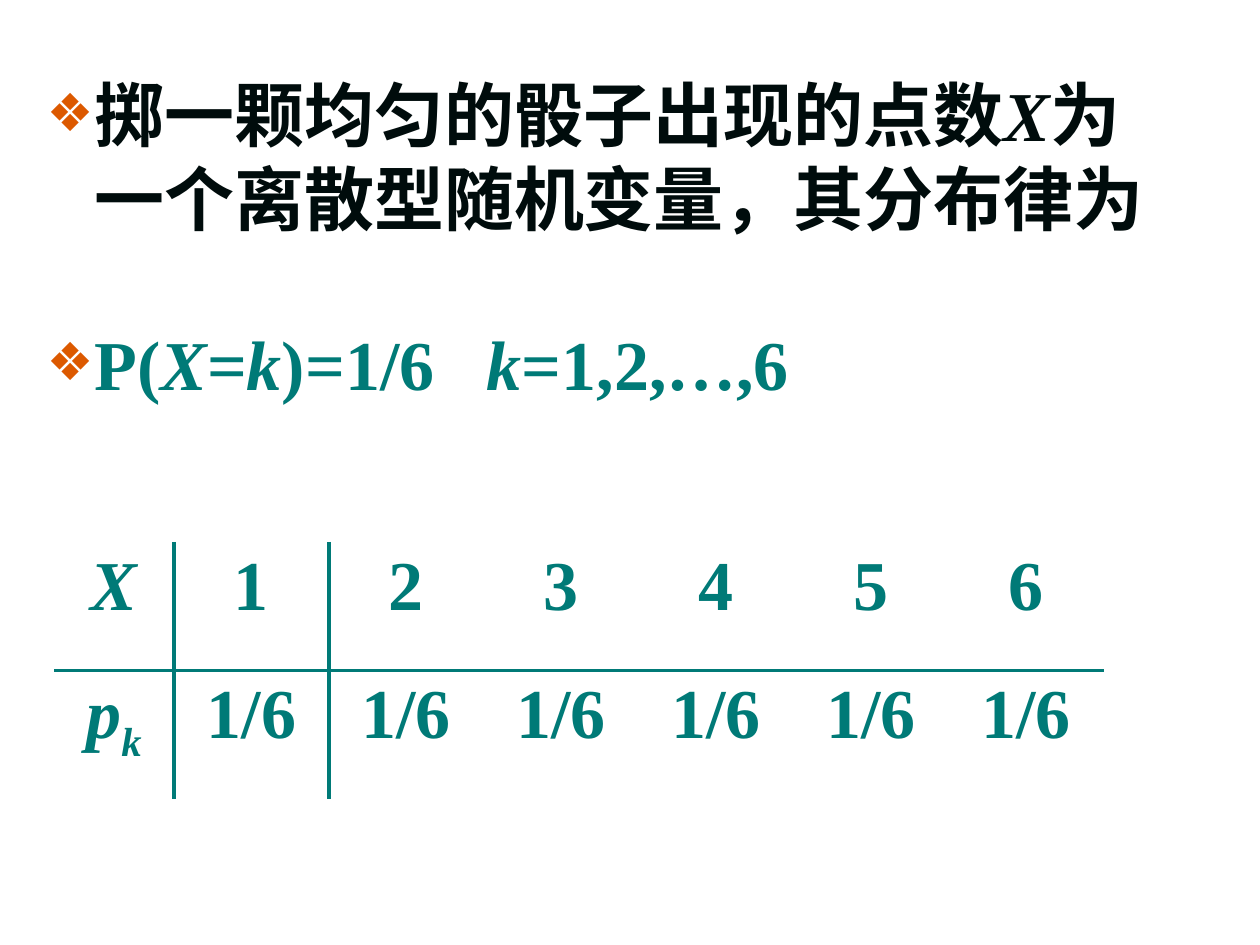
from lxml.etree import SubElement
from pptx import Presentation
from pptx.dml.color import RGBColor
from pptx.enum.text import MSO_ANCHOR, MSO_AUTO_SIZE, PP_ALIGN
from pptx.oxml.ns import qn
from pptx.util import Inches, Pt

INK = RGBColor(0x00, 0x0C, 0x0C)
TEAL = RGBColor(0x00, 0x7A, 0x77)
ORANGE = RGBColor(0xDC, 0x59, 0x00)

FONT = "Times New Roman"
TEXT_SIZE = Pt(40)
HANGING = Inches(0.38)
RULE_WIDTH = Pt(2.25)
PLAIN_TABLE_STYLE = "{2D5ABB26-0587-4C30-8999-92F81FD0307C}"

OUTCOMES = range(1, 7)
LABEL_WIDTH, OUTCOME_WIDTH, ROW_HEIGHT = 0.95, 1.23, 1.02


def add_run(paragraph, text, color, italic=False):
    run = paragraph.add_run()
    run.text = text
    font = run.font
    font.name, font.size, font.bold, font.italic = FONT, TEXT_SIZE, True, italic
    font.color.rgb = color
    return run


def add_formula(paragraph, parts, color):
    """Write parts in turn, with single-letter variables in italics."""
    for part in parts:
        add_run(paragraph, part, color, italic=part in ("X", "k", "p"))


def add_solid_color(parent, color):
    fill = SubElement(parent, qn("a:solidFill"))
    SubElement(fill, qn("a:srgbClr"), val=str(color))


def format_bullet(paragraph, space_before):
    paragraph.line_spacing = Pt(48)
    paragraph.space_before = space_before
    properties = paragraph._p.get_or_add_pPr()
    properties.set("marL", str(HANGING))
    properties.set("indent", str(-HANGING))
    bullet_color = SubElement(properties, qn("a:buClr"))
    SubElement(bullet_color, qn("a:srgbClr"), val=str(ORANGE))
    SubElement(properties, qn("a:buSzPct"), val="75000")
    SubElement(properties, qn("a:buChar"), char="❖")


def fill_statement(body):
    body.left, body.top = Inches(0.27), Inches(0.52)
    body.width, body.height = Inches(9.06), Inches(4.59)
    frame = body.text_frame
    frame.word_wrap = True
    frame.auto_size = MSO_AUTO_SIZE.NONE
    frame.vertical_anchor = MSO_ANCHOR.TOP

    definition = frame.paragraphs[0]
    format_bullet(definition, Pt(0))
    add_formula(definition, ["掷一颗均匀的骰子出现的点数", "X",
                             "为一个离散型随机变量，其分布律为"], INK)

    law = frame.add_paragraph()
    format_bullet(law, Pt(46))
    add_formula(law, ["P(", "X", "=", "k", ")=1/6"], TEAL)
    gap = add_run(law, " ", TEAL)
    gap.font._element.set("spc", "2000")
    add_formula(law, ["k", "=1,2,…,6"], TEAL)


def add_border(cell, side):
    line = SubElement(cell._tc.get_or_add_tcPr(), qn(f"a:ln{side}"),
                      w=str(RULE_WIDTH))
    add_solid_color(line, TEAL)


def add_distribution_table(slide):
    rows = [[["X"]] + [[str(k)] for k in OUTCOMES],
            [["p", "k"]] + [["1/6"] for _ in OUTCOMES]]
    widths = [LABEL_WIDTH] + [OUTCOME_WIDTH] * len(OUTCOMES)
    table = slide.shapes.add_table(
        len(rows), len(widths), Inches(0.43), Inches(4.3),
        Inches(sum(widths)), Inches(ROW_HEIGHT * len(rows))).table
    table.first_row = table.horz_banding = False
    table._tbl.tblPr.find(qn("a:tableStyleId")).text = PLAIN_TABLE_STYLE

    for column, width in zip(table.columns, widths):
        column.width = Inches(width)
    for r, row in enumerate(rows):
        table.rows[r].height = Inches(ROW_HEIGHT)
        for c, parts in enumerate(row):
            cell = table.cell(r, c)
            # Border order within a cell is left, right, top, bottom.
            if c < 2:
                add_border(cell, "R" if c == 0 else "L")
            add_border(cell, "B" if r == 0 else "T")
            cell.fill.background()
            paragraph = cell.text_frame.paragraphs[0]
            paragraph.alignment = PP_ALIGN.CENTER
            add_formula(paragraph, parts, TEAL)

    subscript = table.cell(1, 0).text_frame.paragraphs[0].runs[1]
    subscript.font._element.set("baseline", "-25000")


def main():
    deck = Presentation()
    deck.slide_width, deck.slide_height = Inches(10), Inches(7.5)
    slide = deck.slides.add_slide(deck.slide_layouts[1])
    title = slide.shapes.title
    title._element.getparent().remove(title._element)
    fill_statement(slide.placeholders[1])
    add_distribution_table(slide)
    deck.save("out.pptx")


if __name__ == "__main__":
    main()
